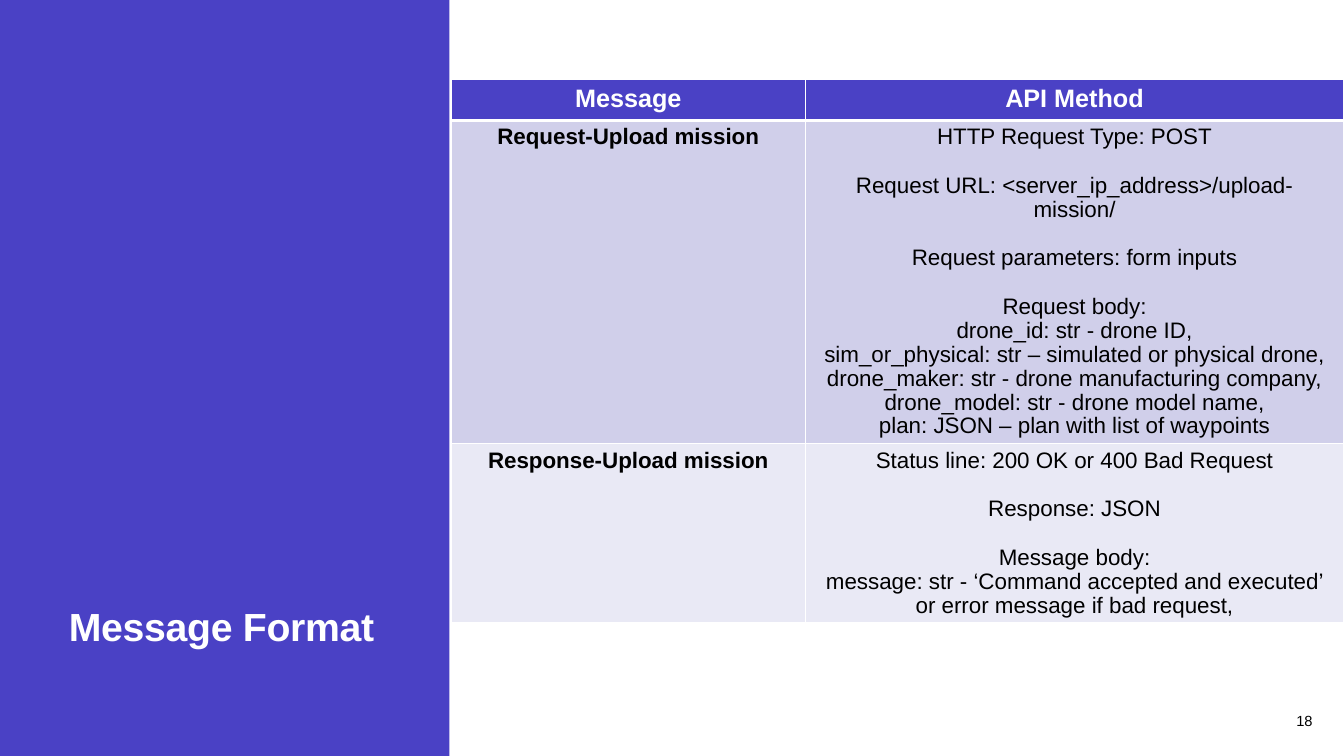
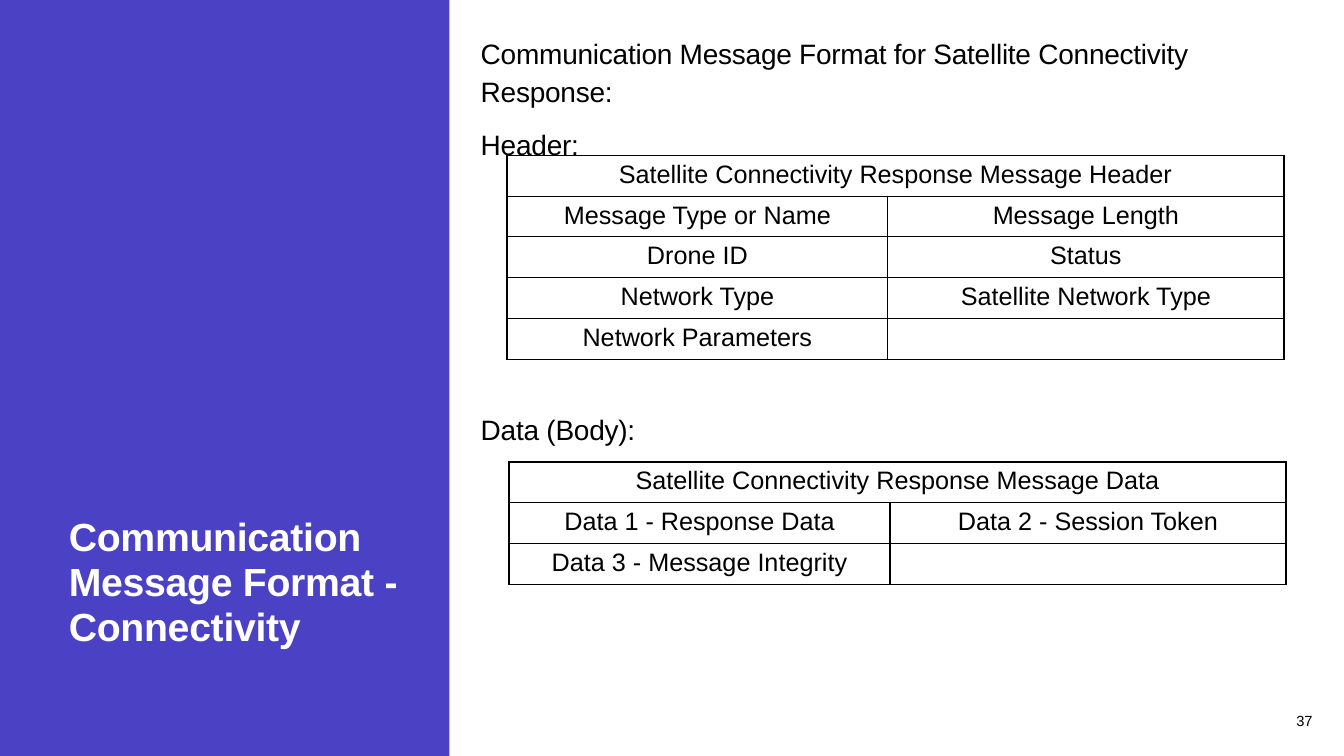
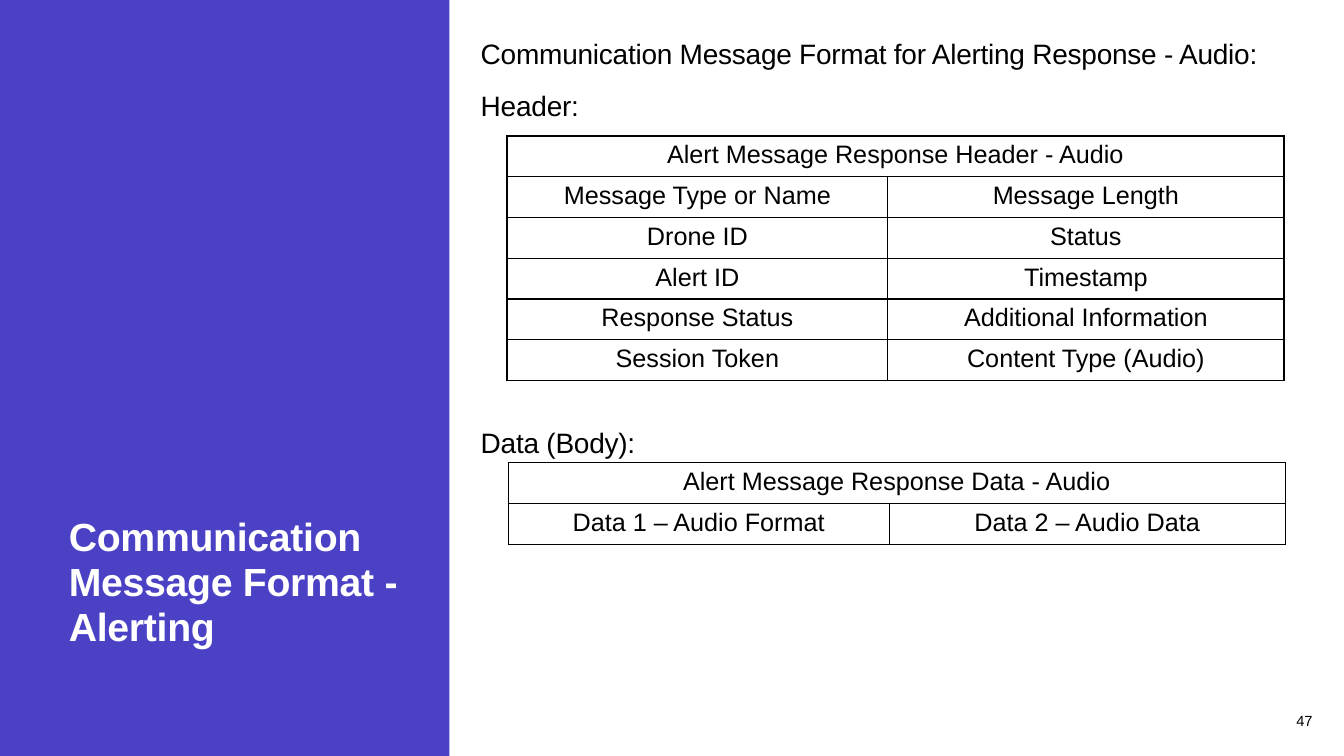
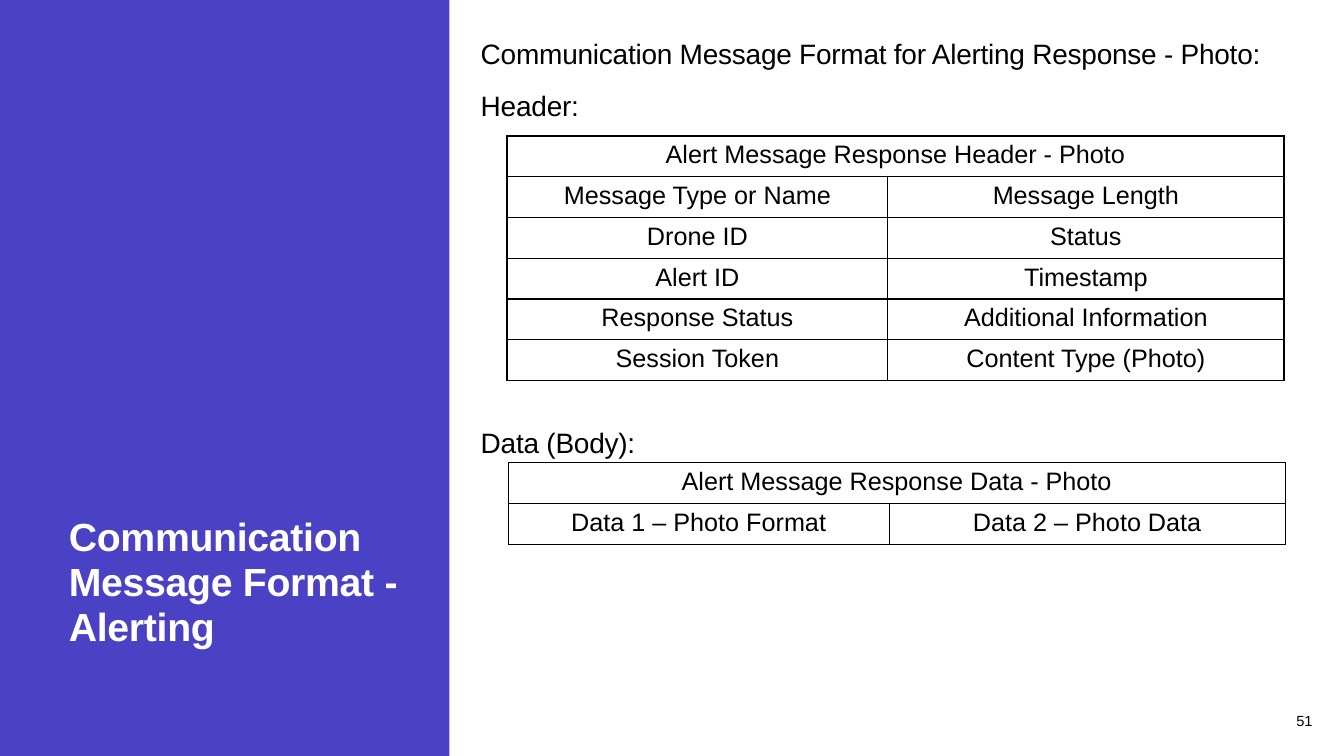
from dataclasses import dataclass

from lxml import etree
from pptx import Presentation
from pptx.dml.color import RGBColor
from pptx.enum.shapes import MSO_SHAPE
from pptx.enum.text import MSO_ANCHOR, MSO_AUTO_SIZE, PP_ALIGN
from pptx.oxml.ns import qn
from pptx.util import Emu, Pt

RECT = MSO_SHAPE.RECTANGLE
LEFT, CENTER, RIGHT = PP_ALIGN.LEFT, PP_ALIGN.CENTER, PP_ALIGN.RIGHT
TOP, MIDDLE, BOTTOM = MSO_ANCHOR.TOP, MSO_ANCHOR.MIDDLE, MSO_ANCHOR.BOTTOM
NO_FIT = MSO_AUTO_SIZE.NONE

# Grid of 32 x 18 square units; every length below is in units
COLUMNS, ROWS = 32, 18
UNIT = 381000


def u(units: float) -> Emu:
    return Emu(round(units * UNIT))


@dataclass(frozen=True)
class Theme:
    font: str = "Arial"
    accent: str = "4A41C5"
    white: str = "FFFFFF"
    black: str = "000000"
    bands: tuple[str, str] = ("D0CFEA", "E9E9F5")
    title: float = 28
    body: float = 20
    table: float = 18
    detail: float = 16
    number: float = 10.5
    tracking: float = -0.2
    title_spacing: float = 0.95
    body_spacing: float = 1.15
    detail_spacing: float = 0.96
    body_gap: float = 10
    detail_gap: float = 17.7
    row: float = 0.97


T = Theme()


@dataclass(frozen=True)
class Box:
    x: float
    y: float
    w: float
    h: float


BAND = Box(0, 0, 10.7, ROWS)
TITLE = Box(1.4, 2.04, 8.42, 13.56)
NUMBER = Box(29.83, 16.68, 1.66, 0.96)
API_COLUMNS = (8.42, 12.83)
FIELD_COLUMNS = (9.07, 9.43)


@dataclass(frozen=True)
class FieldTable:
    x: float
    y: float
    heading: str
    rows: tuple[tuple[str, str], ...]


@dataclass(frozen=True)
class FormatSlide:
    title: str
    number: str
    intro: str
    body_width: float
    data_gap: float
    tables: tuple[FieldTable, FieldTable]


@dataclass(frozen=True)
class ApiRow:
    message: str
    groups: tuple[str, ...]  # a group may hold several lines


API_HEADINGS = ("Message", "API Method")
API_ROWS = (
    ApiRow("Request-Upload mission", (
        "HTTP Request Type: POST",
        "Request URL: <server_ip_address>/upload-mission/",
        "Request parameters: form inputs",
        "Request body:\n"
        "drone_id: str - drone ID,\n"
        "sim_or_physical: str – simulated or physical drone, "
        "drone_maker: str - drone manufacturing company, "
        "drone_model: str - drone model name,\n"
        "plan: JSON – plan with list of waypoints",
    )),
    ApiRow("Response-Upload mission", (
        "Status line: 200 OK or 400 Bad Request",
        "Response: JSON",
        "Message body:\n"
        "message: str - ‘Command accepted and executed’ "
        "or error message if bad request,",
    )),
)

COMMON_FIELDS = (("Message Type or Name", "Message Length"), ("Drone ID", "Status"))


def alert_slide(kind: str, number: str) -> FormatSlide:
    header = FieldTable(12.07, 3.24, f"Alert Message Response Header - {kind}", (
        *COMMON_FIELDS,
        ("Alert ID", "Timestamp"),
        ("Response Status", "Additional Information"),
        ("Session Token", f"Content Type ({kind})"),
    ))
    data = FieldTable(12.1, 11.02, f"Alert Message Response Data - {kind}", (
        (f"Data 1 – {kind} Format", f"Data 2 – {kind} Data"),
    ))
    return FormatSlide(
        "Communication Message Format - Alerting", number,
        f"Communication Message Format for Alerting Response - {kind}:",
        20.28, 212.7, (header, data))


FORMAT_SLIDES = (
    FormatSlide(
        "Communication Message Format - Connectivity", "37",
        "Communication Message Format for Satellite Connectivity Response:",
        19.87, 176.3, (
            FieldTable(12.07, 3.7, "Satellite Connectivity Response Message Header", (
                *COMMON_FIELDS,
                ("Network Type", "Satellite Network Type"),
                ("Network Parameters", ""),
            )),
            FieldTable(12.12, 11, "Satellite Connectivity Response Message Data", (
                ("Data 1 - Response Data", "Data 2 - Session Token"),
                ("Data 3 - Message Integrity", ""),
            )),
        )),
    alert_slide("Audio", "47"),
    alert_slide("Photo", "51"),
)


# Text
def style(p, size: float, color: str = T.black, bold: bool = False,
          align=LEFT, tracking: float = 0) -> None:
    p.alignment = align
    for r in p.runs:
        r.font.name = T.font
        r.font.size = Pt(size)
        r.font.bold = bold
        r.font.color.rgb = RGBColor.from_string(color)
        if tracking:
            r.font._element.set("spc", str(round(tracking * 100)))


def set_frame(tf, anchor) -> None:
    tf.word_wrap = True
    tf.auto_size = NO_FIT
    tf.vertical_anchor = anchor


def add_text(s, box: Box, text: str, anchor):
    tf = s.shapes.add_textbox(u(box.x), u(box.y), u(box.w), u(box.h)).text_frame
    set_frame(tf, anchor)
    tf.text = text
    return tf


# Shared slide parts
def add_band(s, layout) -> None:
    """Draw the side band and move it to the layout, behind the title."""
    band = s.shapes.add_shape(RECT, u(BAND.x), u(BAND.y), u(BAND.w), u(BAND.h))
    band.shadow.inherit = False
    band.fill.solid()
    band.fill.fore_color.rgb = RGBColor.from_string(T.accent)
    band.line.fill.background()
    layout.shapes._spTree.insert(2, band._element)


def add_slide(prs, layout, title: str, number: str):
    s = prs.slides.add_slide(layout)
    sp = s.shapes.title
    sp.left, sp.top, sp.width, sp.height = u(TITLE.x), u(TITLE.y), u(TITLE.w), u(TITLE.h)
    set_frame(sp.text_frame, BOTTOM)
    sp.text_frame.text = title
    p = sp.text_frame.paragraphs[0]
    p.line_spacing = T.title_spacing
    style(p, T.title, T.white, True, tracking=T.tracking)
    tf = add_text(s, NUMBER, number, MIDDLE)
    style(tf.paragraphs[0], T.number, align=RIGHT)
    return s


# Tables
def add_grid(s, x: float, y: float, widths: tuple[float, ...], rows: int):
    table = s.shapes.add_table(rows, len(widths), u(x), u(y),
                               u(sum(widths)), u(rows * T.row)).table
    table.first_row = table.horz_banding = False
    for column, width in zip(table.columns, widths):
        column.width = u(width)
    for row in table.rows:
        row.height = u(T.row)
    return table


def set_borders(cell, color: str, top: float = 1, bottom: float = 1) -> None:
    tc_pr = cell._tc.get_or_add_tcPr()
    edges = (("a:lnL", 1), ("a:lnR", 1), ("a:lnT", top), ("a:lnB", bottom))
    for i, (tag, width) in enumerate(edges):
        line = etree.Element(qn(tag), w=str(Pt(width)))
        fill = etree.SubElement(line, qn("a:solidFill"))
        etree.SubElement(fill, qn("a:srgbClr"), val=color)
        tc_pr.insert(i, line)


def set_cell(cell, text: str, fill: str = "", **text_style) -> None:
    if fill:
        cell.fill.solid()
        cell.fill.fore_color.rgb = RGBColor.from_string(fill)
    else:
        cell.fill.background()
    cell.text_frame.text = text
    for p in cell.text_frame.paragraphs:
        style(p, align=CENTER, **text_style)


def add_api_table(s) -> None:
    table = add_grid(s, 10.75, 1.9, API_COLUMNS, 1 + len(API_ROWS))
    for j, heading in enumerate(API_HEADINGS):
        cell = table.cell(0, j)
        set_cell(cell, heading, T.accent, size=T.table, color=T.white, bold=True)
        set_borders(cell, T.white, bottom=3)
    for i, (row, fill) in enumerate(zip(API_ROWS, T.bands), start=1):
        for j, text in enumerate((row.message, "\n".join(row.groups))):
            cell = table.cell(i, j)
            set_cell(cell, text, fill, size=T.detail, bold=j == 0)
            set_borders(cell, T.white, top=3 if i == 1 else 1)
            for p in cell.text_frame.paragraphs:
                p.line_spacing = T.detail_spacing
        # Space before the first line of each later group
        paragraphs = table.cell(i, 1).text_frame.paragraphs
        start = 0
        for group in row.groups[:-1]:
            start += len(group.split("\n"))
            paragraphs[start].space_before = Pt(T.detail_gap)


def add_field_table(s, spec_table: FieldTable) -> None:
    rows = ((spec_table.heading, ""), *spec_table.rows)
    table = add_grid(s, spec_table.x, spec_table.y, FIELD_COLUMNS, len(rows))
    for i, row in enumerate(rows):
        for j, text in enumerate(row):
            set_cell(table.cell(i, j), text, size=T.table)
            set_borders(table.cell(i, j), T.black)
    table.cell(0, 0).merge(table.cell(0, 1))


def add_format_body(s, content: FormatSlide) -> None:
    tf = add_text(s, Box(11.21, 0.62, content.body_width, 16.42),
                  f"{content.intro}\nHeader:\nData (Body):", TOP)
    for p, gap in zip(tf.paragraphs, (0, T.body_gap, content.data_gap)):
        p.line_spacing = T.body_spacing
        p.space_before = Pt(gap)
        style(p, T.body, tracking=T.tracking)
    for table in content.tables:
        add_field_table(s, table)


def main() -> None:
    prs = Presentation()
    prs.slide_width, prs.slide_height = u(COLUMNS), u(ROWS)
    layout = prs.slide_layouts.get_by_name("Title Only")
    s = add_slide(prs, layout, "Message Format", "18")
    add_band(s, layout)
    add_api_table(s)
    for content in FORMAT_SLIDES:
        s = add_slide(prs, layout, content.title, content.number)
        add_format_body(s, content)
    prs.save("out.pptx")


if __name__ == "__main__":
    main()
